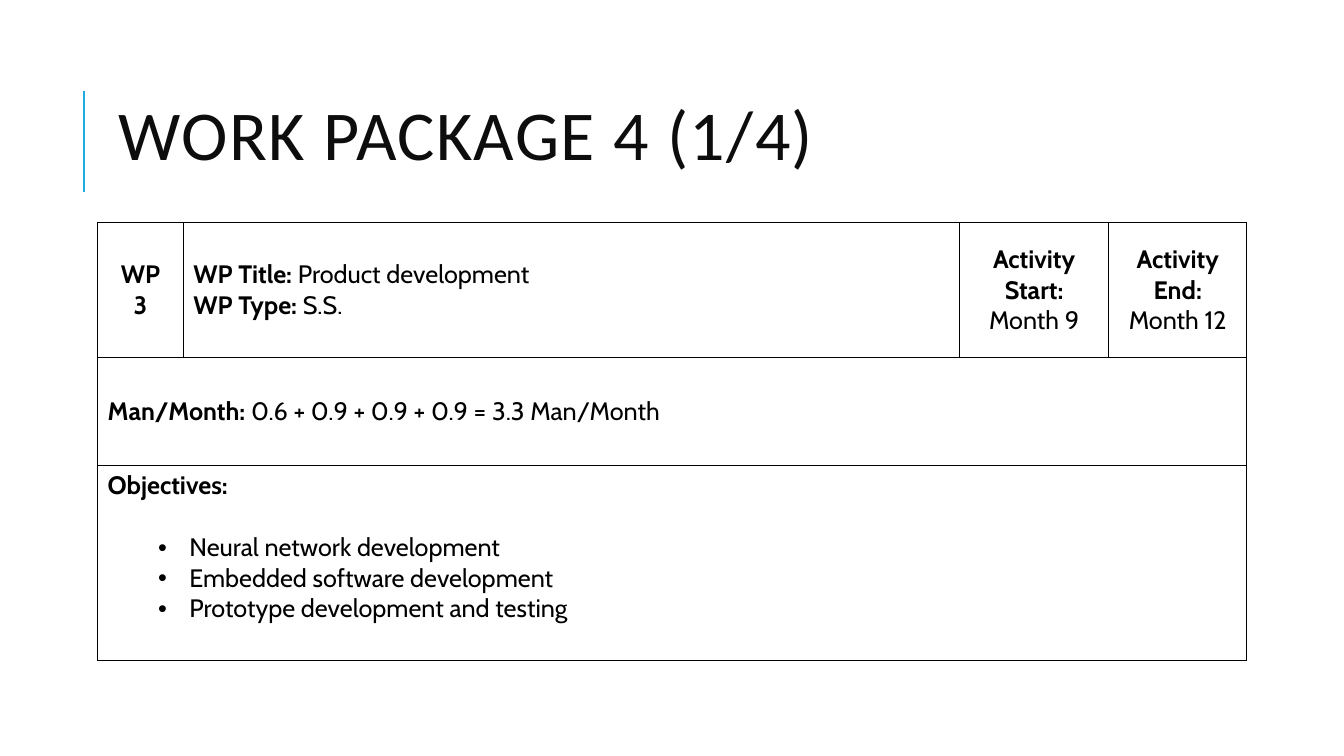
from lxml import etree
from pptx import Presentation
from pptx.dml.color import RGBColor
from pptx.enum.shapes import MSO_CONNECTOR
from pptx.enum.text import MSO_ANCHOR, MSO_AUTO_SIZE, PP_ALIGN
from pptx.oxml.ns import qn
from pptx.util import Cm, Pt

LEFT, CENTER = PP_ALIGN.LEFT, PP_ALIGN.CENTER
TOP, MIDDLE = MSO_ANCHOR.TOP, MSO_ANCHOR.MIDDLE
NO_AUTOFIT = MSO_AUTO_SIZE.NONE
STRAIGHT = MSO_CONNECTOR.STRAIGHT

COLORS = {"title": "0D0D0D", "accent": "1CADE4", "ink": "000000", "paper": "FFFFFF"}
TITLE_FONT, TABLE_FONT = "Calibri", "Cabin"
BODY_SIZE = Pt(18)

COLUMN_WIDTHS = [2.16, 19.56, 3.76, 3.48]
ROW_HEIGHTS = [3.4, 2.72, 4.91]

# Each cell is a list of paragraphs, each paragraph a list of (text, bold)
HEADER_CELLS = [
    ([[("WP\n3", True)]], CENTER),
    ([[("WP Title: ", True), ("Product development", False)],
      [("WP Type:", True), (" S.S.", False)]], LEFT),
    ([[("Activity Start:\n", True), ("Month 9", False)]], CENTER),
    ([[("Activity End:\n", True), ("Month 12", False)]], CENTER),
]
EFFORT = [[("Man/Month: ", True), ("0.6 + 0.9 + 0.9 + 0.9 = 3.3 Man/Month", False)]]
OBJECTIVES = [
    "Neural network development",
    "Embedded software development",
    "Prototype development and testing",
]


def rgb(name):
    return RGBColor.from_string(COLORS[name])


def set_font(font, name, size, color):
    font.name, font.size = name, size
    font.color.rgb = rgb(color)


def add_title(slide, text, left, top, width, height):
    # Accent rule beside the title
    rule = slide.shapes.add_connector(
        STRAIGHT, left - Cm(0.63), top + Cm(3.38), left - Cm(0.63), top + Cm(0.84))
    rule.line.color.rgb = rgb("accent")
    rule.line.width = Pt(1.5)
    etree.SubElement(rule._element.spPr, qn("a:effectLst"))

    # Title text
    title = slide.shapes.title
    title.left, title.top, title.width, title.height = left, top, width, height
    frame = title.text_frame
    frame.text = text
    frame.auto_size = NO_AUTOFIT
    frame.word_wrap = True
    frame.vertical_anchor = MIDDLE
    heading = frame.paragraphs[0]
    heading.alignment = LEFT
    heading.line_spacing = 0.8
    set_font(heading.font, TITLE_FONT, Pt(50), "title")
    heading.runs[0]._r.get_or_add_rPr().set("spc", "100")


def style_cell(cell):
    properties = cell._tc.get_or_add_tcPr()
    for side in ("a:lnL", "a:lnR", "a:lnT", "a:lnB"):
        border = etree.SubElement(properties, qn(side), w=str(Pt(1)))
        fill = etree.SubElement(border, qn("a:solidFill"))
        etree.SubElement(fill, qn("a:srgbClr"), val=COLORS["ink"])
    cell.fill.solid()
    cell.fill.fore_color.rgb = rgb("paper")


def add_bullet(paragraph):
    properties = paragraph._p.get_or_add_pPr()
    properties.set("marL", str(Cm(2.06)))
    properties.set("indent", str(Cm(-0.79)))
    etree.SubElement(properties, qn("a:buFont"), typeface="Arial")
    etree.SubElement(properties, qn("a:buChar"), char="•")


def write_cell(cell, paragraphs, alignment=LEFT, anchor=MIDDLE, bullets_from=None):
    cell.vertical_anchor = anchor
    frame = cell.text_frame
    for index, parts in enumerate(paragraphs):
        paragraph = frame.paragraphs[0] if index == 0 else frame.add_paragraph()
        paragraph.alignment = alignment
        if bullets_from is not None and index >= bullets_from:
            if index == bullets_from:
                paragraph.space_before = Pt(22)
            add_bullet(paragraph)
        set_font(paragraph.font, TABLE_FONT, BODY_SIZE, "ink")
        for text, bold in parts:
            for number, line in enumerate(text.split("\n")):
                if number:
                    paragraph.add_line_break()
                if line:
                    run = paragraph.add_run()
                    run.text = line
                    run.font.bold = bold


def add_work_package(slide, left, top):
    table = slide.shapes.add_table(
        len(ROW_HEIGHTS), len(COLUMN_WIDTHS), left, top,
        Cm(sum(COLUMN_WIDTHS)), Cm(sum(ROW_HEIGHTS))).table
    table.first_row = table.horz_banding = False
    for column, width in zip(table.columns, COLUMN_WIDTHS):
        column.width = Cm(width)
    for row, height in zip(table.rows, ROW_HEIGHTS):
        row.height = Cm(height)
    for cell in table.iter_cells():
        style_cell(cell)
    for row in (1, 2):
        table.cell(row, 0).merge(table.cell(row, len(COLUMN_WIDTHS) - 1))

    # Package, effort and objectives
    for column, (paragraphs, alignment) in enumerate(HEADER_CELLS):
        write_cell(table.cell(0, column), paragraphs, alignment)
    write_cell(table.cell(1, 0), EFFORT)
    objectives = [[("Objectives:", True)]] + [[(goal, False)] for goal in OBJECTIVES]
    write_cell(table.cell(2, 0), objectives, anchor=TOP, bullets_from=1)


def main():
    presentation = Presentation()
    presentation.slide_width, presentation.slide_height = Cm(33.87), Cm(19.05)
    slide = presentation.slides.add_slide(presentation.slide_layouts[5])
    add_title(slide, "WORK PACKAGE 4 (1/4)", Cm(2.74), Cm(1.45), Cm(27), Cm(4.17))
    add_work_package(slide, Cm(2.46), Cm(5.61))
    presentation.save("out.pptx")


if __name__ == "__main__":
    main()
